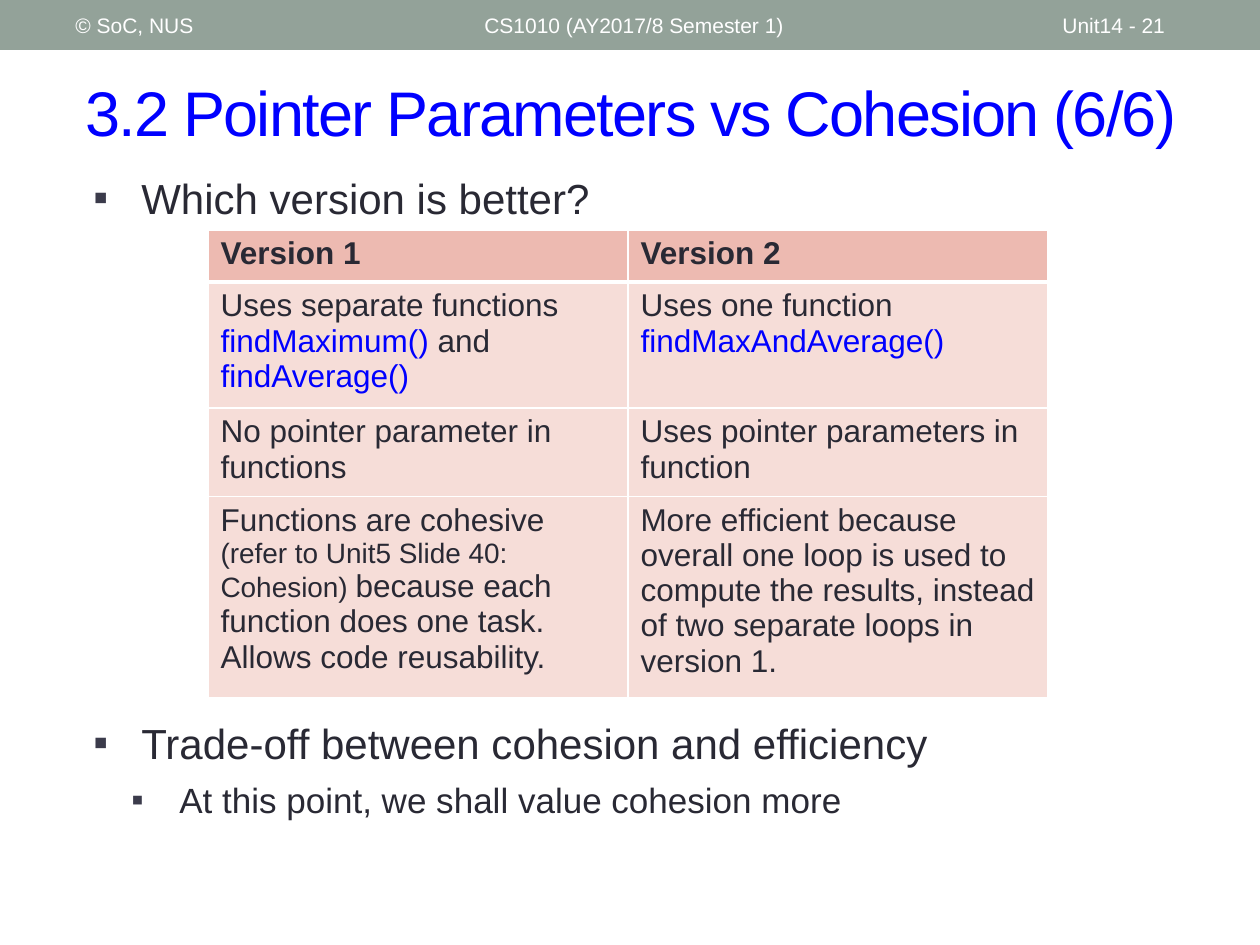
from lxml.etree import SubElement
from pptx import Presentation
from pptx.dml.color import RGBColor
from pptx.enum.shapes import MSO_SHAPE as Shape
from pptx.enum.text import MSO_ANCHOR as Anchor
from pptx.oxml.ns import qn
from pptx.util import Emu, Pt

SCALE = 914400 / 126  # EMU in one px
COLORS = {
    "band": "93A299", "title": "0000FF", "code": "0000FF", "text": "292934",
    "bullet": "3B3B4B", "white": "FFFFFF", "header": "EDBAB1", "cell": "F6DDD8",
}


def px(length):
    return Emu(round(length * SCALE))


def rgb(name):
    return RGBColor.from_string(COLORS[name])


def add_span(para, text, size=18, color="text", bold=False, spacing=0):
    span = para.add_run()
    span.text = text
    font = span.font
    font.name, font.size, font.bold = "Arial", Pt(size), bold
    font.color.rgb = rgb(color)
    if spacing:
        span._r.get_or_add_rPr().set("spc", str(spacing))


class SlideBuilder:
    def __init__(self, page):
        self.page = page

    def band(self, left, top, width, height, color):
        shape = self.page.shapes.add_shape(
            Shape.RECTANGLE, px(left), px(top), px(width), px(height))
        shape.shadow.inherit = False
        shape.fill.solid()
        shape.fill.fore_color.rgb = rgb(color)
        shape.line.fill.background()

    def frame(self, left, top, width, height, anchor=Anchor.TOP):
        box = self.page.shapes.add_textbox(px(left), px(top), px(width), px(height))
        box.text_frame.word_wrap = True
        box.text_frame.vertical_anchor = anchor
        return box.text_frame

    def label(self, text, left, top, width, height, **style):
        frame = self.frame(left, top, width, height, Anchor.MIDDLE)
        add_span(frame.paragraphs[0], text, **style)

    def bullets(self, items, left, top, width, height):
        frame = self.frame(left, top, width, height)
        for index, (text, level, size) in enumerate(items):
            para = frame.add_paragraph() if index else frame.paragraphs[0]
            para.level = level
            para.space_before = Pt(6 if index else 0)
            props = para._p.get_or_add_pPr()
            props.set("marL", str(px(48 + 38 * level)))
            props.set("indent", str(px(-48)))
            tint = SubElement(props, qn("a:buClr"))
            SubElement(tint, qn("a:srgbClr"), val=COLORS["bullet"])
            SubElement(props, qn("a:buFont"), typeface="Arial")
            SubElement(props, qn("a:buChar"), char="▪")
            add_span(para, text, size=size)

    def borders(self, cell, bottom):
        props = cell._tc.get_or_add_tcPr()
        for side, width in (("L", 1), ("R", 1), ("T", 1), ("B", bottom)):
            line = SubElement(props, qn("a:ln" + side), w=str(Pt(width)))
            fill = SubElement(line, qn("a:solidFill"))
            SubElement(fill, qn("a:srgbClr"), val=COLORS["white"])

    def table(self, rows, left, top, width, height, row_height):
        holder = self.page.shapes.add_table(
            len(rows), len(rows[0]), px(left), px(top), px(width), px(height))
        table = holder.table
        for row_index, row in enumerate(rows):
            header = row_index == 0
            table.rows[row_index].height = px(row_height)
            for column, spans in enumerate(row):
                cell = table.cell(row_index, column)
                self.borders(cell, bottom=3 if header else 1)
                cell.fill.solid()
                cell.fill.fore_color.rgb = rgb("header" if header else "cell")
                for text, style in spans:
                    add_span(cell.text_frame.paragraphs[0], text, bold=header, **style)
        holder.height = px(height)  # rows grow to fit their text


def main():
    deck = Presentation()
    deck.slide_width, deck.slide_height = px(1260), px(945)
    builder = SlideBuilder(deck.slides.add_slide(deck.slide_layouts[6]))

    # Top band and title
    builder.band(0, 0, 1260, 50, "band")
    builder.label("3.2 Pointer Parameters vs Cohesion (6/6)", 73, 53, 1155, 116,
                  size=36, color="title", spacing=-100)
    for text, left, width in (
        ("CS1010 (AY2017/8 Semester 1)", 472, 567),
        ("Unit14 - 21", 1050, 147),
        ("© SoC, NUS", 63, 399),
    ):
        builder.label(text, left, 3, width, 45, size=12, color="white")

    # Question and comparison of the versions
    builder.bullets([("Which version is better?", 0, 24)], 81, 166, 1134, 64)
    plain, code, small = {}, {"color": "code"}, {"size": 16}
    rows = [
        ([("Version 1", plain)], [("Version 2", plain)]),
        ([("Uses separate functions ", plain), ("findMaximum() ", code),
          ("and ", plain), ("findAverage()", code)],
         [("Uses one function ", plain), ("findMaxAndAverage()", code)]),
        ([("No pointer parameter in functions", plain)],
         [("Uses pointer parameters in function", plain)]),
        ([("Functions are cohesive ", plain),
          ("(refer to Unit5 Slide 40: Cohesion) ", small),
          ("because each function does one task. Allows code reusability.", plain)],
         [("More efficient because overall one loop is used to compute the results, "
           "instead of two separate loops in version 1.", plain)]),
    ]
    builder.table(rows, 208, 230, 840, 467, row_height=52)

    # Conclusion
    builder.bullets([
        ("Trade-off between cohesion and efficiency", 0, 24),
        ("At this point, we shall value cohesion more", 1, 20),
    ], 81, 711, 1134, 125)

    deck.save("out.pptx")


if __name__ == "__main__":
    main()
